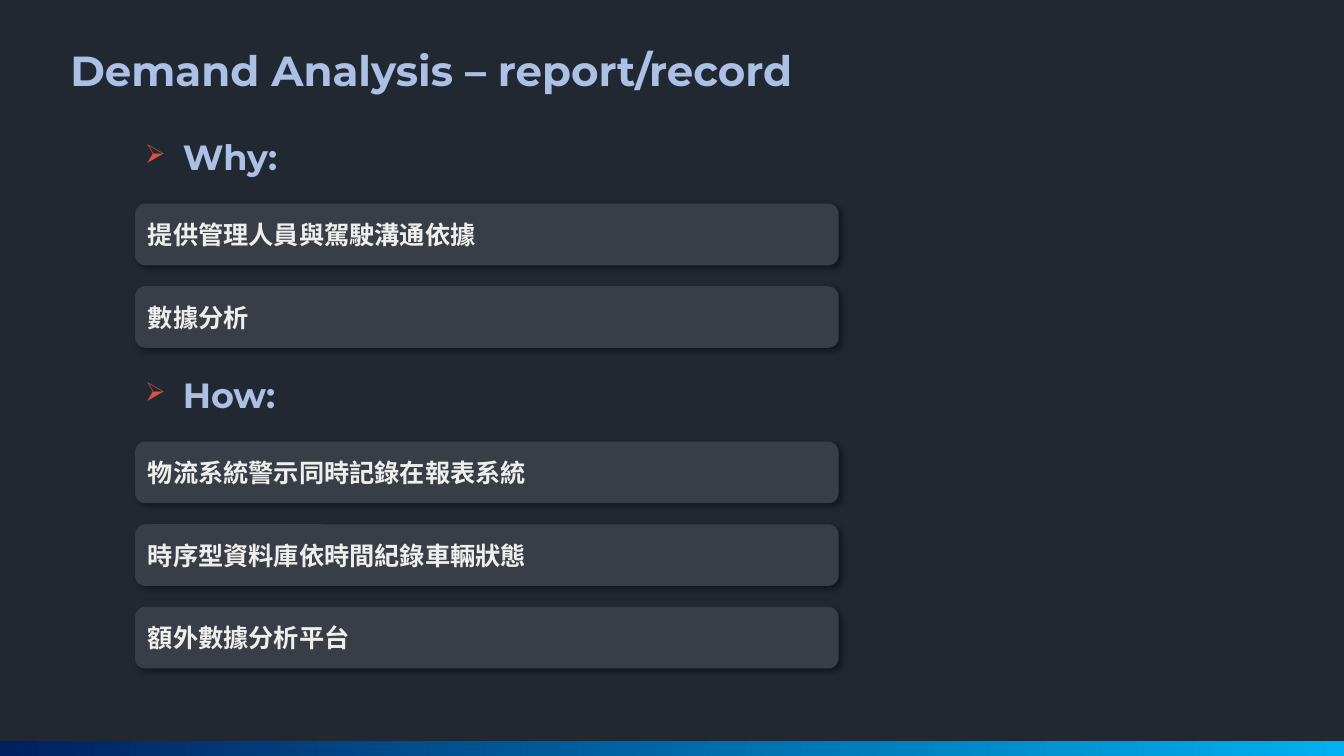
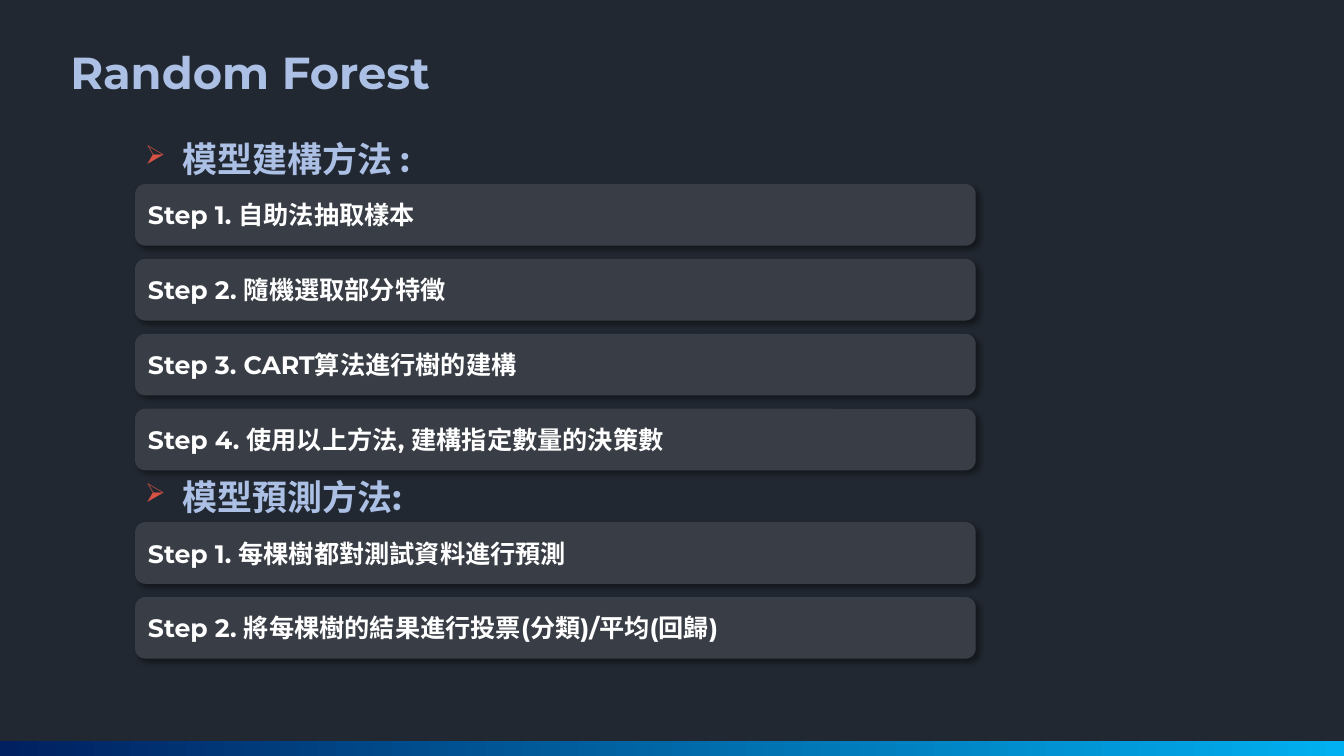
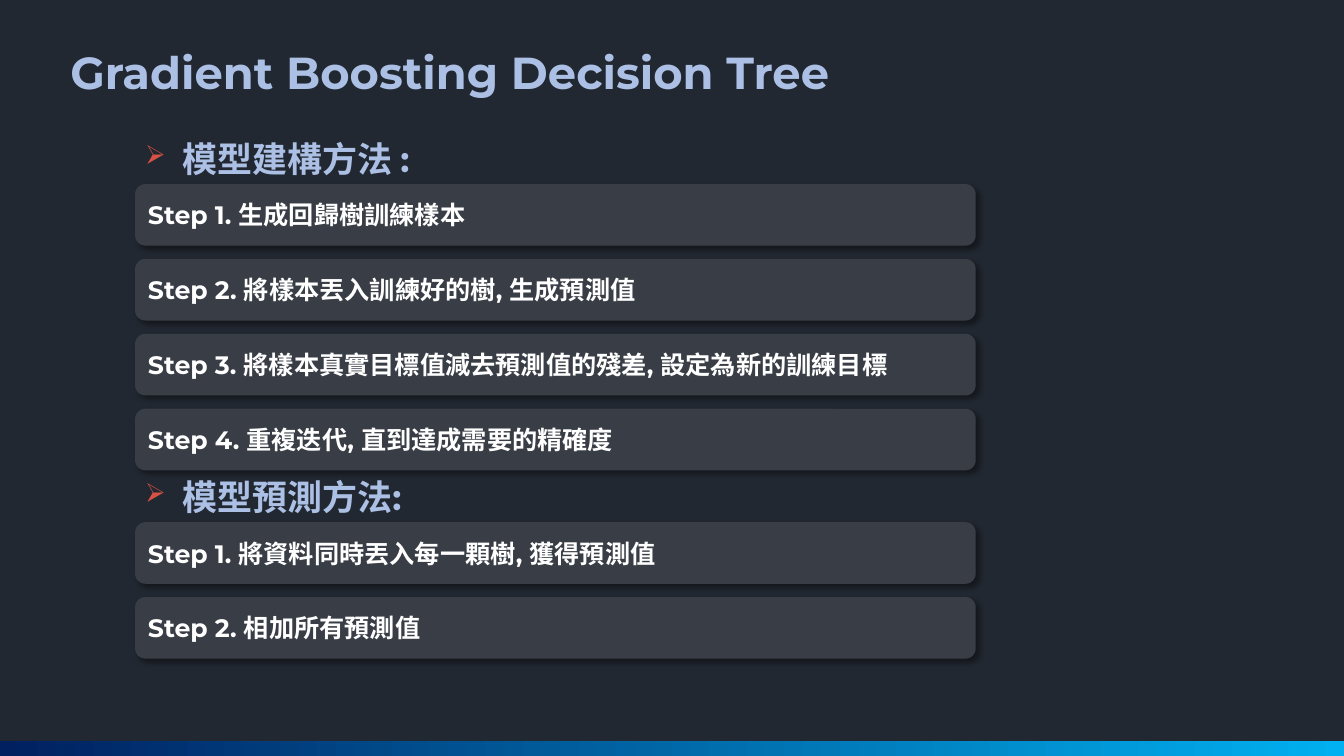
import pptx
import pptx.dml.color
import pptx.enum.shapes
import pptx.enum.text
import pptx.oxml
import pptx.oxml.ns
import pptx.util

PX = 6350  # EMU per px, 144 px to the inch
SLIDE_W, SLIDE_H = 1920, 1080
BAND_H = 22
LEFT = 193
HEADING_W, HEADING_H = 1115, 74
BAR_H = 88

FONT = "Montserrat"
BACKGROUND, BAR, ACCENT, BULLET = "222831", "393E46", "ABC0E4", "D75244"
BAND_COLORS = ("002060", "00B0F0")

BUILD, PREDICT = "模型建構方法 :", "模型預測方法:"
TREE_LAYOUT = {"title_size": 32, "top": 189, "heading_gap": 0, "bar_gap": 19,
               "section_gap": 0, "bar_width": 1201, "text_color": "FFFFFF"}
REPORT_LAYOUT = {"title_size": 30, "top": 187, "heading_gap": 30, "bar_gap": 30,
                 "section_gap": 30, "bar_width": 1005, "text_color": "EEEEEE"}

PAGES = [
    ("Demand Analysis – report/record", REPORT_LAYOUT, [
        ("Why:", ["提供管理人員與駕駛溝通依據", "數據分析"]),
        ("How:", ["物流系統警示同時記錄在報表系統",
                  "時序型資料庫依時間紀錄車輛狀態",
                  "額外數據分析平台"]),
    ]),
    ("Random Forest", TREE_LAYOUT, [
        (BUILD, ["Step 1. 自助法抽取樣本",
                 "Step 2. 隨機選取部分特徵",
                 "Step 3. CART算法進行樹的建構",
                 "Step 4. 使用以上方法, 建構指定數量的決策數"]),
        (PREDICT, ["Step 1. 每棵樹都對測試資料進行預測",
                   "Step 2. 將每棵樹的結果進行投票(分類)/平均(回歸)"]),
    ]),
    ("Gradient Boosting Decision Tree", TREE_LAYOUT, [
        (BUILD, ["Step 1. 生成回歸樹訓練樣本",
                 "Step 2. 將樣本丟入訓練好的樹, 生成預測值",
                 "Step 3. 將樣本真實目標值減去預測值的殘差, 設定為新的訓練目標",
                 "Step 4. 重複迭代, 直到達成需要的精確度"]),
        (PREDICT, ["Step 1. 將資料同時丟入每一顆樹, 獲得預測值",
                   "Step 2. 相加所有預測值"]),
    ]),
]


def color(value):
    return pptx.dml.color.RGBColor.from_string(value)


def area(*lengths):
    return [pptx.util.Emu(length * PX) for length in lengths]


def place(shape, *lengths):
    shape.left, shape.top, shape.width, shape.height = area(*lengths)


def xml(tag, attributes="", inner=""):
    namespace = pptx.oxml.ns.nsdecls("a")
    return pptx.oxml.parse_xml(f"<a:{tag} {namespace} {attributes}>{inner}</a:{tag}>")


def write(shape, text, size, text_color, anchor="TOP"):
    """Put one formatted paragraph in the shape and return it."""
    frame = shape.text_frame
    settings = {"word_wrap": True,
                "auto_size": pptx.enum.text.MSO_AUTO_SIZE.NONE,
                "vertical_anchor": getattr(pptx.enum.text.MSO_ANCHOR, anchor)}
    for name, value in settings.items():
        setattr(frame, name, value)
    para = frame.paragraphs[0]
    para.alignment = pptx.enum.text.PP_ALIGN.LEFT
    span = para.add_run()
    span.text = text
    for name, value in {"name": FONT, "size": pptx.util.Pt(size), "bold": True}.items():
        setattr(span.font, name, value)
    span.font.color.rgb = color(text_color)
    return para


def add_heading(page, text, top):
    box = page.shapes.add_textbox(*area(LEFT, top, HEADING_W, HEADING_H))
    para = write(box, text, 25, ACCENT)
    properties = para._p.get_or_add_pPr()
    indent = 54 * PX
    properties.set("marL", str(indent))
    properties.set("indent", str(-indent))
    properties.append(xml("buClr", "", f'<a:srgbClr val="{BULLET}"/>'))
    properties.append(xml("buSzPct", 'val="75000"'))
    properties.append(xml("buChar", 'char="➢"'))


def add_bar(page, text, top, width, text_color):
    bar = page.shapes.add_shape(pptx.enum.shapes.MSO_SHAPE.ROUNDED_RECTANGLE,
                                *area(LEFT, top, width, BAR_H))
    bar.fill.solid()
    bar.fill.fore_color.rgb = color(BAR)
    bar.line.fill.background()
    bar.shadow.inherit = False
    effects = bar.element.spPr.find(pptx.oxml.ns.qn("a:effectLst"))
    effects.append(xml(
        "outerShdw",
        'blurRad="50800" dist="38100" dir="2700000" algn="tl" rotWithShape="0"',
        '<a:srgbClr val="000000"><a:alpha val="40000"/></a:srgbClr>'))
    write(bar, text, 18, text_color, "MIDDLE")


def style_layout(layout, page):
    """Give the layout its background, title place and bottom band."""
    layout.background.fill.solid()
    layout.background.fill.fore_color.rgb = color(BACKGROUND)
    place(layout.placeholders[0], 86, 57, 1400, 92)
    band = page.shapes.add_shape(pptx.enum.shapes.MSO_SHAPE.RECTANGLE,
                                 *area(0, SLIDE_H - BAND_H, SLIDE_W, BAND_H))
    band.shadow.inherit = False
    band.line.fill.background()
    band.fill.gradient()
    band.fill.gradient_angle = 0
    for stop, value in zip(band.fill.gradient_stops, BAND_COLORS):
        stop.color.rgb = color(value)
    layout.shapes.element.append(band.element)


def add_page(page, title, look, sections):
    write(page.shapes.title, title, look["title_size"], ACCENT)
    top = look["top"]
    for heading, items in sections:
        add_heading(page, heading, top)
        top += HEADING_H + look["heading_gap"]
        for item in items:
            add_bar(page, item, top, look["bar_width"], look["text_color"])
            top += BAR_H + look["bar_gap"]
        top += look["section_gap"] - look["bar_gap"]


def main():
    deck = pptx.Presentation()
    deck.slide_width, deck.slide_height = area(SLIDE_W, SLIDE_H)
    layout = deck.slide_layouts[5]
    for number, content in enumerate(PAGES):
        page = deck.slides.add_slide(layout)
        if number == 0:
            style_layout(layout, page)
        add_page(page, *content)
    deck.save("out.pptx")


if __name__ == "__main__":
    main()
